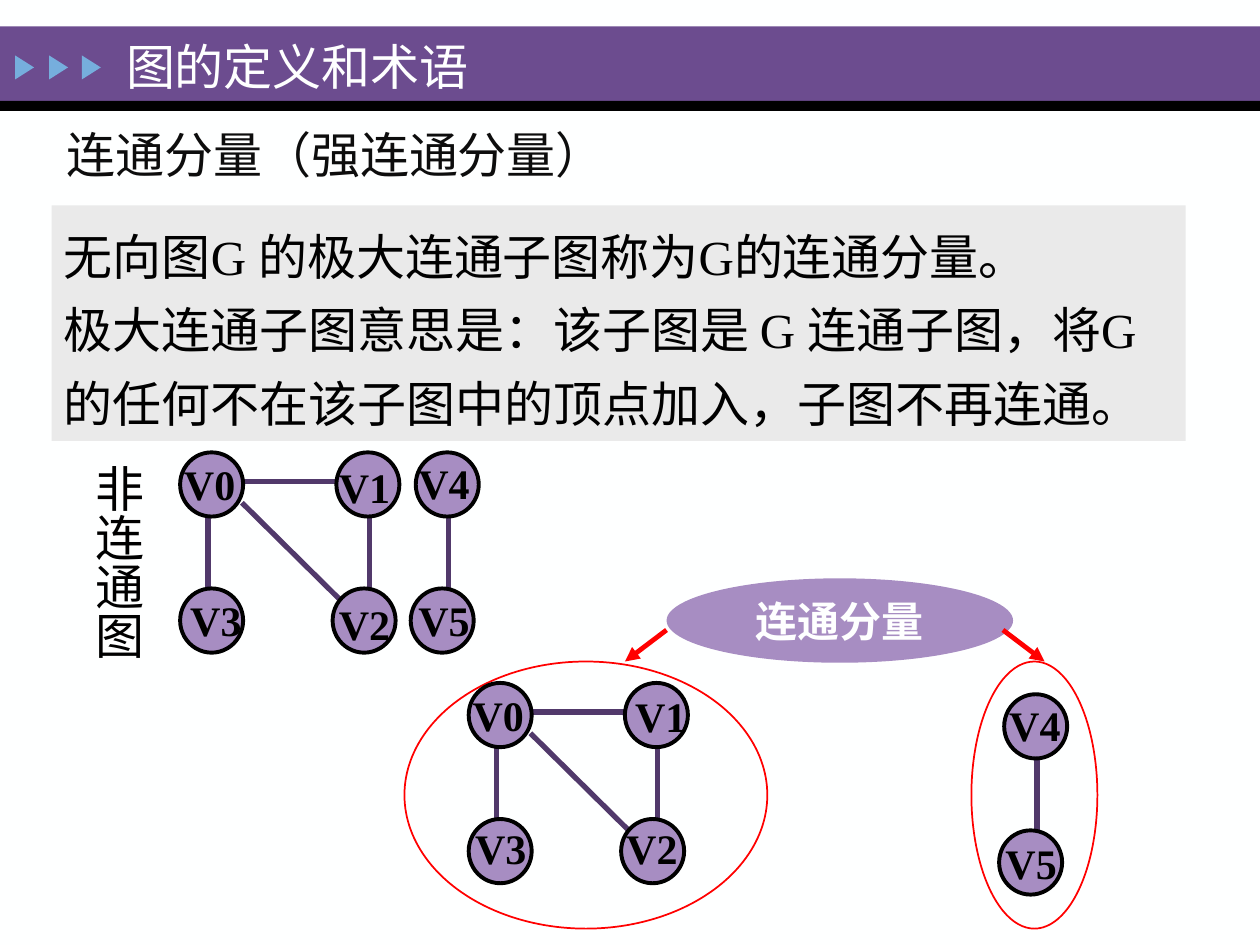
"""Build the slide on connected components of an undirected graph."""
from lxml.etree import SubElement
from pptx import Presentation
from pptx.dml.color import RGBColor
from pptx.enum.shapes import MSO_CONNECTOR, MSO_SHAPE as Shape
from pptx.enum.text import MSO_ANCHOR as Anchor, MSO_AUTO_SIZE as AutoSize, PP_ALIGN as Align
from pptx.oxml.ns import qn
from pptx.util import Pt

PX = 9144
COLORS = {
    "paper": "FEFFFF", "bar": "6C4C8F", "black": "000000", "marker": "76AEDD",
    "heading": "0D0D0D", "panel": "EAEAEA", "node": "A78DC2", "edge": "51396B",
    "red": "FF0000",
}
COLORS = {name: RGBColor.from_string(value) for name, value in COLORS.items()}


def add_box(kind, bounds, fill=None, line=None, width=1):
    """Add a preset shape, or a text box when kind is None."""
    area = [length * PX for length in bounds]
    if kind is None:
        return slide.shapes.add_textbox(*area)
    box = slide.shapes.add_shape(kind, *area)
    box.shadow.inherit = False
    if fill:
        box.fill.solid()
        box.fill.fore_color.rgb = COLORS[fill]
    else:
        box.fill.background()
    if line:
        box.line.color.rgb = COLORS[line]
        box.line.width = Pt(width)
    else:
        box.line.fill.background()
    return box


def write(box, text, size=28, color="black", bold=False, align=Align.LEFT, spacing=1.0, **frame_values):
    """Fill a shape with one formatted paragraph."""
    frame = box.text_frame
    frame_format = {"word_wrap": True, "auto_size": AutoSize.NONE, "vertical_anchor": Anchor.TOP}
    for name, value in {**frame_format, **frame_values}.items():
        setattr(frame, name, value)
    para = frame.paragraphs[0]
    para.text = text
    para.alignment = align
    para.line_spacing = spacing
    for span in para.runs:
        for name, value in {"name": "Times New Roman", "size": Pt(size), "bold": bold}.items():
            setattr(span.font, name, value)
        span.font.color.rgb = COLORS[color]


deck = Presentation()
deck.slide_width, deck.slide_height = 1000 * PX, 750 * PX
slide = deck.slides.add_slide(deck.slide_layouts[5])
slide.background.fill.solid()
slide.background.fill.fore_color.rgb = COLORS["paper"]

add_box(Shape.RECTANGLE, (0, 21, 1000, 59), "bar")
add_box(Shape.RECTANGLE, (0, 80, 1000, 8), "black")
for left in (10, 37, 63):
    marker = add_box(Shape.ISOSCELES_TRIANGLE, (left, 46, 19, 15), "marker")
    marker.rotation = 90

title = slide.shapes.title
for name, value in {"left": 90, "top": 15, "width": 673, "height": 75}.items():
    setattr(title, name, value * PX)
write(title, "图的定义和术语", color="paper", vertical_anchor=Anchor.MIDDLE)
slide.shapes._spTree.append(title._element)

heading = add_box(None, (43, 94, 600, 57))
write(heading, "连通分量（强连通分量）", color="heading")

definition = add_box(Shape.RECTANGLE, (41, 163, 900, 187), "panel")
write(
    definition,
    "无向图G 的极大连通子图称为G的连通分量。\v"
    "极大连通子图意思是：该子图是 G 连通子图，将G 的任何不在该子图中的顶点加入，子图不再连通。",
    spacing=1.25,
)

caption = add_box(None, (55, 359, 67, 208))
write(caption, "非连通图")
caption.text_frame._txBody.bodyPr.set("vert", "eaVert")

for bounds in ((321, 525, 288, 212), (771, 525, 100, 212)):
    add_box(Shape.OVAL, bounds, line="red")
callout = add_box(Shape.OVAL, (529, 459, 275, 67), "node")
write(callout, "连通分量", 24, "paper", True, Align.CENTER, word_wrap=False, vertical_anchor=Anchor.MIDDLE)

big_edges = [(192, 399, 274, 480), (165, 409, 165, 472), (193, 382, 271, 382), (293, 409, 293, 472)]
small_edges = [(356, 404, 356, 468)]
big_nodes = {"V0": (143, 359), "V2": (264, 467), "V3": (143, 467), "V1": (267, 359)}
small_nodes = {"V5": (326, 467), "V4": (330, 359)}
graphs = [
    (0, 0, big_edges, big_nodes, [(133, 359), (256, 470), (138, 467), (256, 361)]),
    (0, 0, small_edges, small_nodes, [(319, 467), (319, 358)]),
    (229, 183, big_edges, big_nodes, [(362, 542), (484, 648), (364, 648), (491, 543)]),
    (467, 192, small_edges, small_nodes, [(785, 660), (788, 550)]),
]

lines = [
    ((x1 + dx, y1 + dy, x2 + dx, y2 + dy), "edge", 3)
    for dx, dy, edges, _, _ in graphs
    for x1, y1, x2, y2 in edges
]
lines += [((529, 500, 496, 525), "red", 2.75), ((796, 500, 829, 525), "red", 2.75)]
for ends, color, width in lines:
    link = slide.shapes.add_connector(MSO_CONNECTOR.STRAIGHT, *[end * PX for end in ends])
    link.line.color.rgb = COLORS[color]
    link.line.width = Pt(width)
    if color == "red":
        SubElement(link.line._get_or_add_ln(), qn("a:tailEnd"), type="triangle")
    SubElement(link._element.spPr, qn("a:effectLst"))

for dx, dy, _, nodes, label_corners in graphs:
    for (name, (left, top)), corner in zip(nodes.items(), label_corners):
        add_box(Shape.OVAL, (left + dx, top + dy, 50, 51), "node", "black", 2.25)
        label = add_box(None, (*corner, 71, 50))
        write(label, name, 24, bold=True, margin_left=13 * PX)

deck.save("out.pptx")
